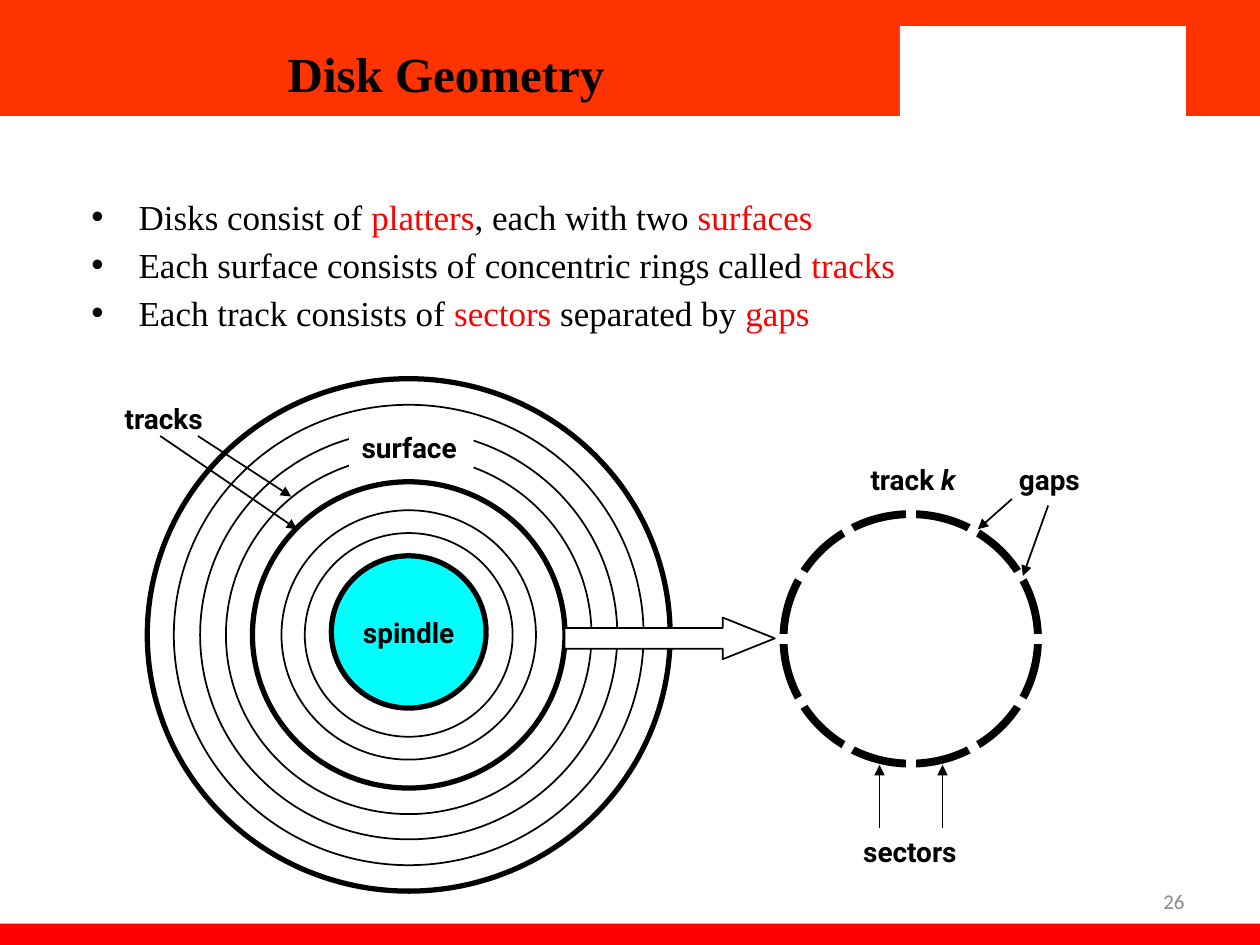
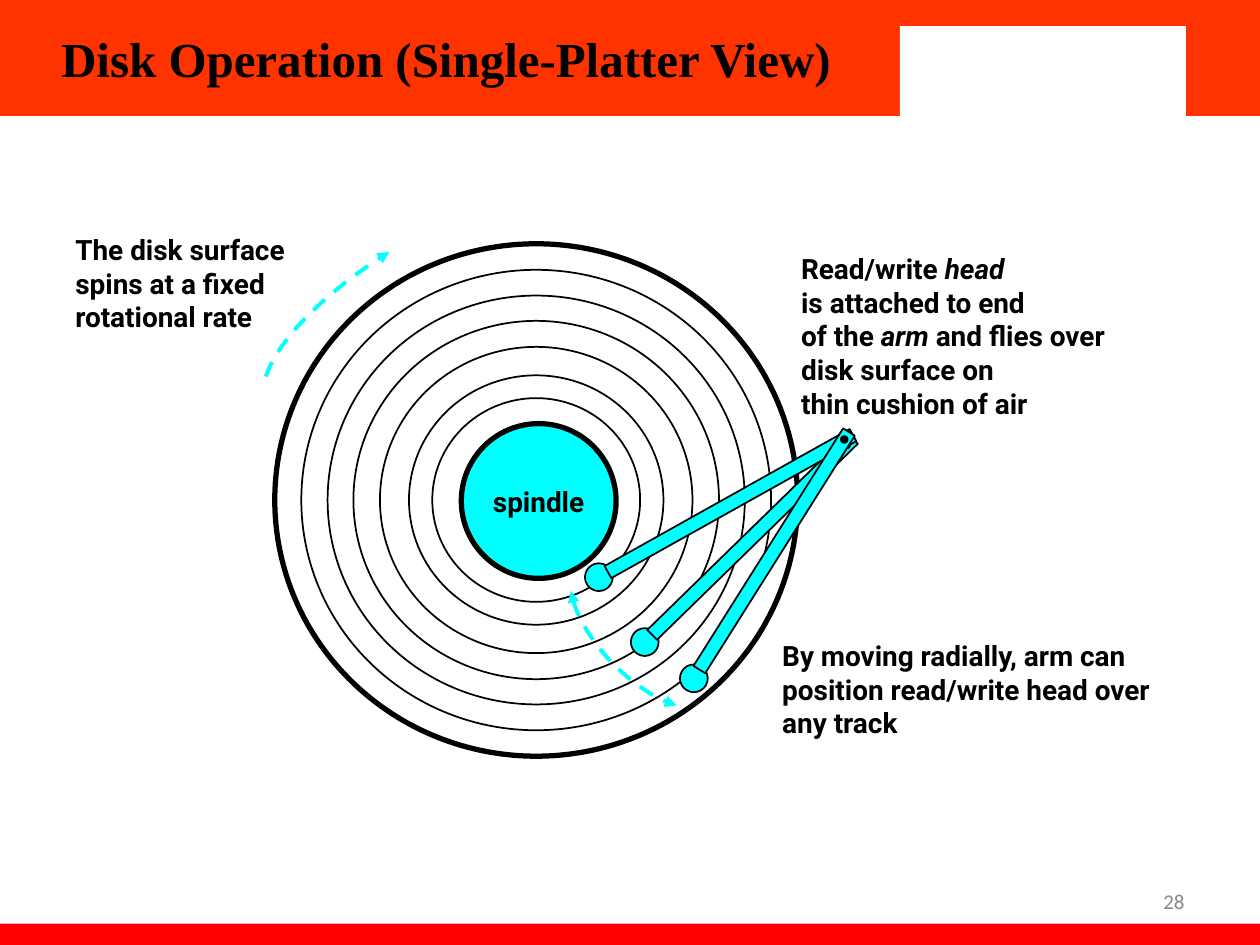
"""Build two slides on disk geometry and disk operation."""
from dataclasses import dataclass
from math import cos, radians, sin

from pptx import Presentation
from pptx import util as u
from pptx.dml import color
from pptx.enum import dml, shapes, text
from pptx.oxml import parse_xml
from pptx.oxml.ns import nsdecls

KIND = shapes.MSO_SHAPE
ALIGN = text.PP_ALIGN
MIDDLE = text.MSO_ANCHOR.MIDDLE


@dataclass(frozen=True)
class Theme:
    band: str = "FF3300"
    red: str = "FF0000"
    cyan: str = "00FFFF"
    black: str = "000000"
    white: str = "FFFFFF"
    gray: str = "898989"
    serif: str = "Times New Roman"
    sans: str = "Roboto"
    plain: str = "Calibri"
    title: int = 28
    body: int = 20
    label: int = 16
    number: int = 12


@dataclass(frozen=True)
class Label:
    lines: tuple
    x: float
    y: float
    w: float
    h: float = 0.94
    align: ALIGN = ALIGN.LEFT
    wrap: bool = False


@dataclass(frozen=True)
class Arrow:
    x1: float
    y1: float
    x2: float
    y2: float


@dataclass(frozen=True)
class Arm:
    x: float
    y: float
    angle: float


T = Theme()
RINGS = (10.54, 9.47, 8.41, 7.37, 6.30, 5.13, 4.19)
SQUASH = 0.98
CORE = 3.12

LABELS = (
    Label(("tracks",), 2.21, 7.98, 2.18, align=ALIGN.CENTER),
    Label(("track *k*",), 17.30, 9.19, 2.34),
    Label(("sectors",), 17.09, 16.69, 2.51, align=ALIGN.CENTER),
    Label(("gaps",), 20.24, 9.19, 1.83, align=ALIGN.CENTER),
)
ARROWS = (
    Arrow(3.23, 8.79, 5.99, 10.67),
    Arrow(3.99, 8.79, 5.87, 10.01),
    Arrow(17.73, 16.69, 17.73, 15.42),
    Arrow(19.00, 16.69, 19.00, 15.42),
    Arrow(20.40, 10.06, 19.71, 10.67),
    Arrow(21.13, 10.19, 20.62, 11.61),
)
NOTES = (
    Label(("The disk surface", "spins at a fixed", "rotational rate"),
          1.27, 4.57, 4.83, 2.97, wrap=True),
    Label(("By moving radially, arm can position read/write head over any track",),
          15.52, 12.75, 8.18, 2.29, wrap=True),
    Label(("Read/write *head*", "is attached to end", "of the *arm* and flies over",
           "disk surface on", "thin cushion of air"), 15.90, 4.95, 7.04, 3.63),
)
SPIN = ((5.36, 7.59), (5.61, 6.83), (6.58, 5.87), (7.85, 5.08))
SWING = ((11.51, 11.91), (11.56, 12.29), (11.86, 12.85), (12.29, 13.31),
         (12.75, 13.79), (13.26, 14.12), (13.64, 14.22))
ARMS = (Arm(17.07, 8.97, 44.3), Arm(17.04, 8.86, 29.2), Arm(17.02, 8.86, 57.8))


def rgb(code: str) -> color.RGBColor:
    """Turn a hex code into a colour."""
    return color.RGBColor.from_string(code)


def write(frame, lines, *, size=T.label, font=T.sans, ink=T.black, bold=False,
          align=None, accent=None, anchor=None, wrap=True, before=None, space=None) -> None:
    """Write lines; parts between stars are italic or in the accent colour."""
    frame.word_wrap = wrap
    if anchor is not None:
        frame.vertical_anchor = anchor
    for i, line in enumerate(lines):
        para = frame.add_paragraph() if i else frame.paragraphs[0]
        para.alignment = align
        if before is not None:
            para.space_before = u.Pt(before)
        if space is not None:
            para.line_spacing = space
        for j, part in enumerate(line.split("*")):
            if not part:
                continue
            run = para.add_run()
            run.text = part
            face = run.font
            face.name, face.size, face.bold = font, u.Pt(size), bold
            marked = j % 2 == 1
            face.italic = marked and accent is None
            face.color.rgb = rgb(accent if marked and accent else ink)


def place(shape, x: float, y: float, w: float, h: float) -> None:
    """Move and size a shape."""
    shape.left, shape.top, shape.width, shape.height = map(u.Cm, (x, y, w, h))


def paint(shape, fill=None, line=None, weight=1.0) -> None:
    """Set fill and outline and drop the shadow."""
    shape.shadow.inherit = False
    if fill:
        shape.fill.solid()
        shape.fill.fore_color.rgb = rgb(fill)
    else:
        shape.fill.background()
    if line:
        shape.line.color.rgb = rgb(line)
        shape.line.width = u.Pt(weight)
    else:
        shape.line.fill.background()


def box(slide, kind, x: float, y: float, w: float, h: float, **look):
    """Add a preset shape by its top left corner."""
    shape = slide.shapes.add_shape(kind, *map(u.Cm, (x, y, w, h)))
    paint(shape, **look)
    return shape


def disc(slide, x: float, y: float, w: float, h: float, **look):
    """Add an ellipse by its centre."""
    return box(slide, KIND.OVAL, x - w / 2, y - h / 2, w, h, **look)


def tip(shape, *ends: str) -> None:
    """Put triangles on the named line ends."""
    for end in ends:
        mark = parse_xml(f'<a:{end} {nsdecls("a")} type="triangle"/>')
        shape.element.spPr.get_or_add_ln().append(mark)


def stroke(slide, x1: float, y1: float, x2: float, y2: float, ink=T.black, weight=1.0):
    """Add a straight line without shadow."""
    line = slide.shapes.add_connector(shapes.MSO_CONNECTOR.STRAIGHT,
                                      *map(u.Cm, (x1, y1, x2, y2)))
    line.line.color.rgb = rgb(ink)
    line.line.width = u.Pt(weight)
    line.element.spPr.append(parse_xml(f'<a:effectLst {nsdecls("a")}/>'))
    return line


def curve(slide, knots, *ends: str, steps: int = 12) -> None:
    """Draw a dashed chain of cubic curves with arrowheads."""
    dots = []
    for k in range(0, len(knots) - 1, 3):
        for n in range(1, steps + 1):
            t = n / steps
            mix = ((1 - t) ** 3, 3 * t * (1 - t) ** 2, 3 * t * t * (1 - t), t ** 3)
            dots.append(tuple(u.Cm(sum(m * p[axis] for m, p in zip(mix, knots[k:k + 4])))
                              for axis in (0, 1)))
    pen = slide.shapes.build_freeform(*map(u.Cm, knots[0]))
    pen.add_line_segments(dots, close=False)
    shape = pen.convert_to_shape()
    paint(shape, line=T.cyan, weight=2.25)
    shape.line.dash_style = dml.MSO_LINE.DASH
    tip(shape, *ends)


def label(slide, item: Label) -> None:
    """Add a bold label."""
    area = slide.shapes.add_textbox(*map(u.Cm, (item.x, item.y, item.w, item.h)))
    write(area.text_frame, item.lines, bold=True, align=item.align, wrap=item.wrap)


def rings(slide, x: float, y: float, heavy: tuple) -> None:
    """Draw the tracks around one centre."""
    for i, w in enumerate(RINGS):
        disc(slide, x, y, w, w * SQUASH, line=T.black, weight=3 if i in heavy else 1)


def core(slide, x: float, y: float, h: float = CORE) -> None:
    """Draw the spindle."""
    hub = disc(slide, x, y, CORE, h, fill=T.cyan, line=T.black, weight=3)
    write(hub.text_frame, ("spindle",), bold=True, align=ALIGN.CENTER,
          anchor=MIDDLE, wrap=False)


def lever(slide, arm: Arm) -> None:
    """Draw a head, its arm and the pivot."""
    dx, dy = cos(radians(arm.angle)), sin(radians(arm.angle))
    reach, mid, size, bar, thick = 5.69, 2.65, 0.56, 5.66, 0.28
    disc(slide, arm.x - reach * dx, arm.y + reach * dy, size, size,
         fill=T.cyan, line=T.black)
    rod = box(slide, KIND.RECTANGLE, arm.x - mid * dx - bar / 2,
              arm.y + mid * dy - thick / 2, bar, thick, fill=T.cyan, line=T.black)
    rod.rotation = 360 - arm.angle
    disc(slide, arm.x, arm.y, 0.1, 0.1, fill=T.black, line=T.black, weight=2)


def start(deck, layout: int, title: str, number: str, space=None):
    """Add a slide with its title and number."""
    slide = deck.slides.add_slide(deck.slide_layouts[layout])
    head = slide.shapes.title
    place(head, 0, 0, 17.98, 2.34)
    write(head.text_frame, (title,), size=T.title, font=T.serif, bold=True,
          align=ALIGN.CENTER, anchor=MIDDLE, space=space)
    foot = slide.shapes.add_textbox(*map(u.Cm, (18.21, 17.65, 5.92, 1.02)))
    write(foot.text_frame, (number,), size=T.number, font=T.plain, ink=T.gray,
          align=ALIGN.RIGHT, anchor=MIDDLE)
    return slide


def bands(deck, slide) -> None:
    """Draw the shared bands and move them to the master."""
    tree = deck.slide_master.shapes.element
    parts = ((0, 0, 25.4, 2.34, T.band), (0, 18.62, 25.4, 0.43, T.red),
             (18.14, 0.53, 5.77, 1.91, T.white))
    for spot, (*area, fill) in enumerate(parts, 2):
        tree.insert(spot, box(slide, KIND.RECTANGLE, *area, fill=fill).element)


def shape_slide(deck) -> None:
    """Build the slide on disk geometry."""
    slide = start(deck, 1, "Disk Geometry", "26", space=1.5)
    bands(deck, slide)
    body = slide.placeholders[1]
    place(body, 1.27, 3.81, 22.66, 12.37)
    write(body.text_frame, (
        "Disks consist of *platters*, each with two *surfaces*",
        "Each surface consists of concentric rings called *tracks*",
        "Each track consists of *sectors* separated by *gaps*",
    ), size=T.body, font=T.serif, accent=T.red, before=3.6)
    body.text_frame.auto_size = text.MSO_AUTO_SIZE.NONE
    for para in body.text_frame.paragraphs:
        props = para._p.get_or_add_pPr()
        props.set("marL", str(u.Cm(1.27)))
        props.set("indent", str(u.Cm(-0.95)))

    rings(slide, 8.24, 12.80, heavy=(0, 4))
    core(slide, 8.24, 12.74, 3.07)
    patch = box(slide, KIND.RECTANGLE, 7.04, 8.56, 2.51, 0.94, fill=T.white)
    write(patch.text_frame, ("surface",), bold=True, align=ALIGN.LEFT,
          anchor=text.MSO_ANCHOR.TOP, wrap=False)

    x, y, reach = 18.36, 12.88, 2.92
    disc(slide, x, y, 5.13, 5.03, line=T.black, weight=4.5)
    for turn in range(0, 360, 30):
        stroke(slide, x, y, x + reach * cos(radians(turn)),
               y + reach * sin(radians(turn)), ink=T.white, weight=6)
    wide = box(slide, KIND.RIGHT_ARROW, 11.38, 12.45, 4.24, 0.84,
               fill=T.white, line=T.black)
    wide.adjustments[0], wide.adjustments[1] = 0.5, 1.25
    for item in LABELS:
        label(slide, item)
    for a in ARROWS:
        tip(stroke(slide, a.x1, a.y1, a.x2, a.y2), "tailEnd")


def motion_slide(deck) -> None:
    """Build the slide on disk operation."""
    slide = start(deck, 5, "Disk Operation (Single-Platter View)", "28")
    rings(slide, 10.81, 10.08, heavy=(0,))
    curve(slide, SPIN, "tailEnd")
    curve(slide, SWING, "headEnd", "tailEnd")
    for item in NOTES:
        label(slide, item)
    core(slide, 10.86, 10.10)
    for arm in ARMS:
        lever(slide, arm)


def main() -> None:
    """Build and save the deck."""
    deck = Presentation()
    deck.slide_width, deck.slide_height = u.Cm(25.4), u.Cm(19.05)
    shape_slide(deck)
    motion_slide(deck)
    deck.save("out.pptx")


if __name__ == "__main__":
    main()
